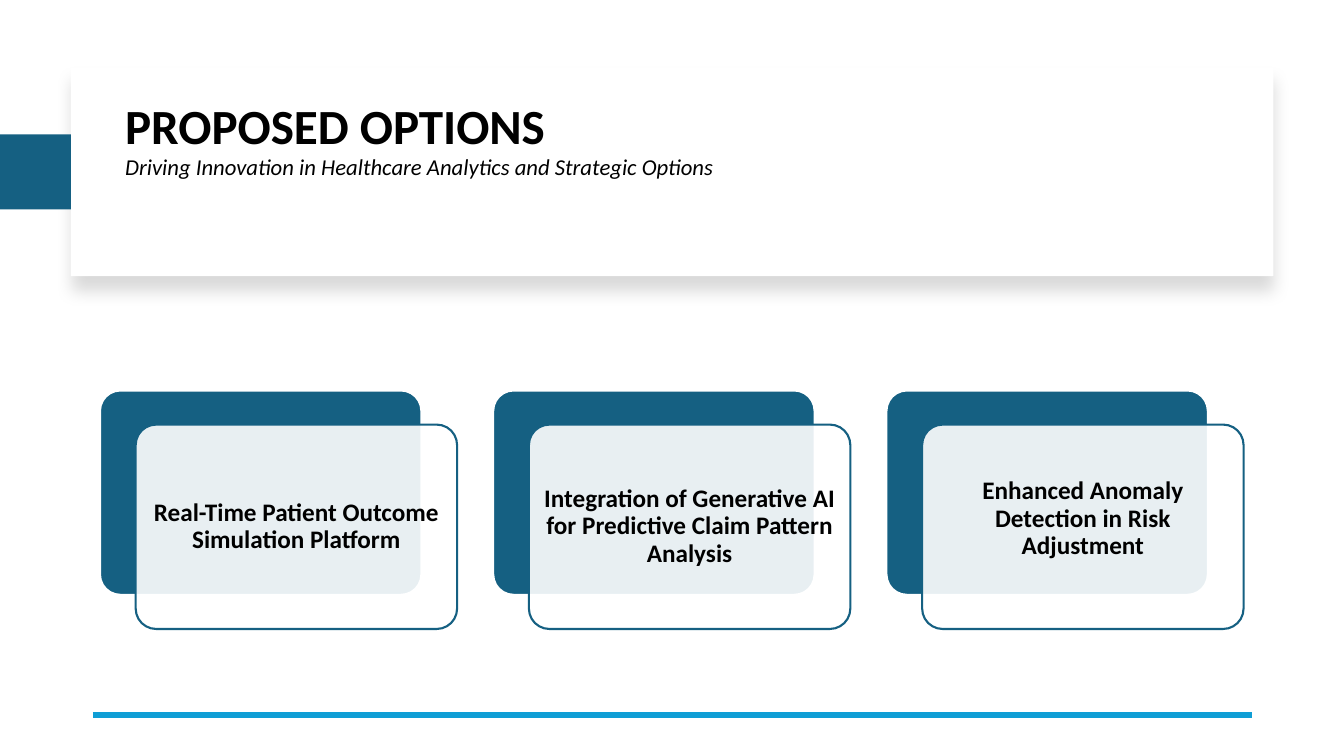
"""Build the slide of proposed options with a title banner and three cards."""
from lxml.etree import SubElement
from pptx import Presentation
from pptx.dml.color import RGBColor
from pptx.enum.shapes import MSO_CONNECTOR, MSO_SHAPE
from pptx.enum.text import MSO_ANCHOR, MSO_AUTO_SIZE, PP_ALIGN
from pptx.oxml.ns import qn
from pptx.util import Cm, Pt


def tint(value):
    return RGBColor.from_string(value)


def block(kind, left, top, width, height, fill, line=None):
    shape = slide.shapes.add_shape(kind, Cm(left), Cm(top), Cm(width), Cm(height))
    shape.shadow.inherit = False
    shape.fill.solid()
    shape.fill.fore_color.rgb = tint(fill)
    if line:
        shape.line.color.rgb = tint(line)
        shape.line.width = Pt(1.5)
    else:
        shape.line.fill.background()
    return shape


deck = Presentation()
deck.slide_width, deck.slide_height = Cm(33.87), Cm(19.05)
slide = deck.slides.add_slide(deck.slide_layouts[5])

banner = block(MSO_SHAPE.RECTANGLE, 1.79, 1.7, 30.3, 5.26, "FFFFFF")
effects = banner._element.spPr.find(qn("a:effectLst"))
shadow = SubElement(effects, qn("a:outerShdw"), blurRad=str(Pt(11)),
                    dist=str(Pt(10)), dir="5400000", algn="t", rotWithShape="0")
shade = SubElement(shadow, qn("a:srgbClr"), val="000000")
SubElement(shade, qn("a:alpha"), val="15000")

title = slide.shapes.title
title.left, title.top, title.width, title.height = Cm(2.9), Cm(2.26), Cm(28.27), Cm(4.32)
slide.shapes._spTree.append(title._element)
frame = title.text_frame
frame.text = "PROPOSED OPTIONS\nDriving Innovation in Healthcare Analytics and Strategic Options"
frame.auto_size = MSO_AUTO_SIZE.NONE
frame.vertical_anchor = MSO_ANCHOR.TOP
frame.margin_top = Cm(0.32)
for para, size, bold in zip(frame.paragraphs, (35.1, 16.2), (True, False)):
    para.alignment = PP_ALIGN.LEFT
    para.line_spacing = 0.9
    para.space_before = para.space_after = Pt(0)
    para.font.name = "Calibri"
    para.font.size = Pt(size)
    para.font.bold = bold
    para.font.italic = not bold
    para.font.color.rgb = tint("000000")

rule = slide.shapes.add_connector(MSO_CONNECTOR.STRAIGHT, Cm(2.34), Cm(18.01), Cm(31.55), Cm(18.01))
rule.line.color.rgb = tint("0F9ED5")
rule.line.width = Pt(4.5)
SubElement(rule._element.spPr, qn("a:effectLst"))

cards = [
    ("Real-Time Patient Outcome Simulation Platform", 0.18),
    ("Integration of Generative AI for Predictive Claim Pattern Analysis", 0.18),
    ("Enhanced Anomaly Detection in Risk Adjustment", 0.58),
]
for index, (text, base) in enumerate(cards):
    left = 2.52 + index * 9.91
    back = block(MSO_SHAPE.ROUNDED_RECTANGLE, left, 9.84, 8.1, 5.15, "156082", "FFFFFF")
    card = block(MSO_SHAPE.ROUNDED_RECTANGLE, left + 0.9, 10.7, 8.1, 5.15, "FFFFFF", "156082")
    back.adjustments[0] = card.adjustments[0] = 0.1
    paint = card._element.spPr.find(qn("a:solidFill"))
    SubElement(paint[0], qn("a:alpha"), val="90000")
    frame = card.text_frame
    frame.text = text
    frame.word_wrap = True
    frame.vertical_anchor = MSO_ANCHOR.MIDDLE
    frame.margin_left = frame.margin_right = frame.margin_top = Cm(0.18)
    frame.margin_bottom = Cm(base)
    para = frame.paragraphs[0]
    para.alignment = PP_ALIGN.CENTER
    para.line_spacing = 0.9
    para.font.name = "Calibri"
    para.font.size = Pt(18)
    para.font.bold = True
    para.font.color.rgb = tint("000000")

block(MSO_SHAPE.RECTANGLE, 0, 3.39, 1.79, 1.89, "156082")

deck.save("out.pptx")
